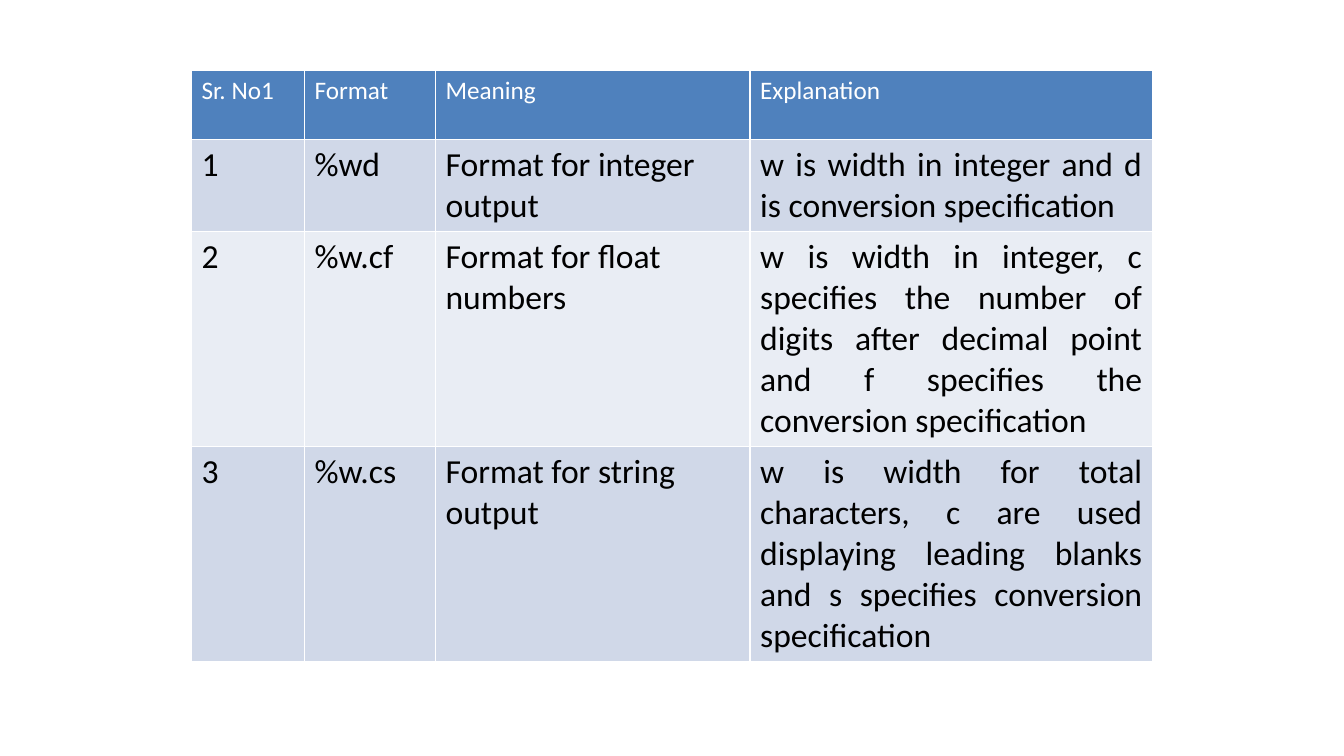
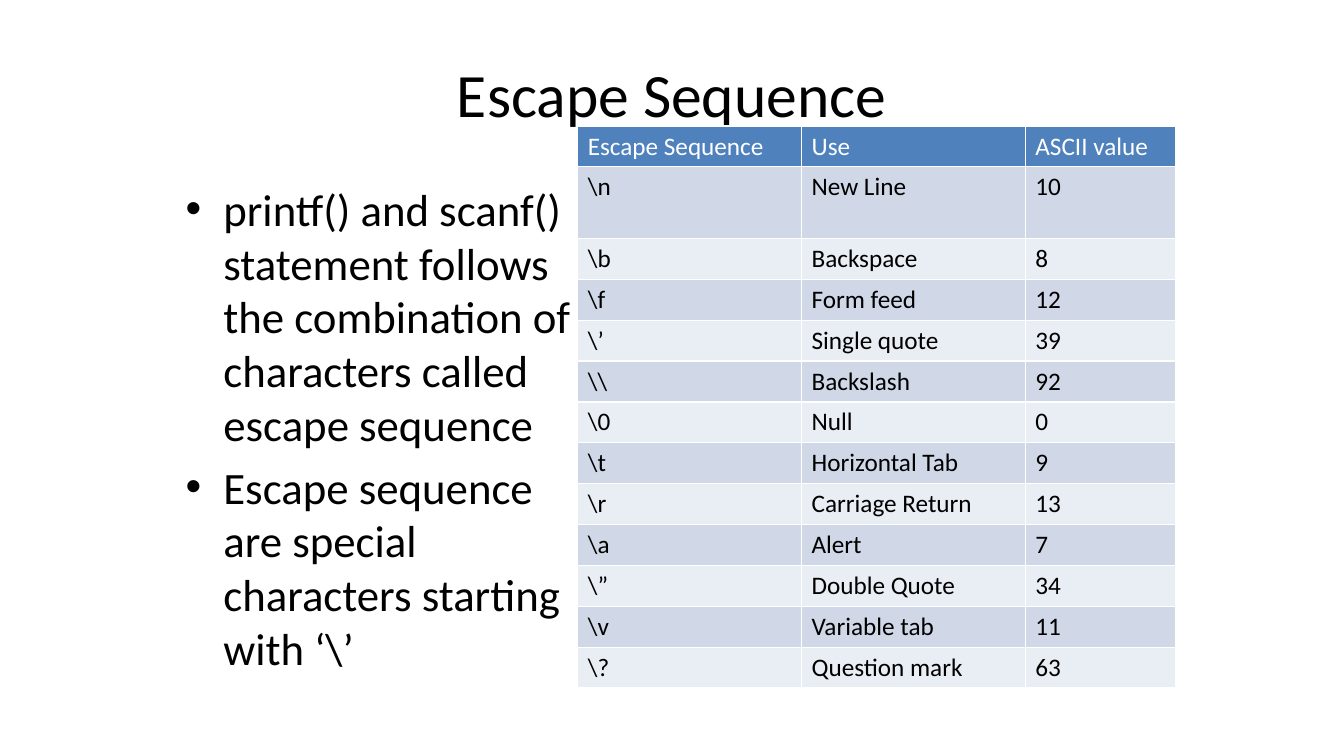
from dataclasses import dataclass

from pptx import Presentation
from pptx import util as u
from pptx.dml.color import RGBColor
from pptx.enum import text

FORMATS = [
    ("Sr. No1", "Format", "Meaning", "Explanation"),
    ("1", "%wd", "Format for integer output",
     "w is width in integer and d is conversion specification"),
    ("2", "%w.cf", "Format for float numbers",
     "w is width in integer, c specifies the number of digits after decimal "
     "point and f specifies the conversion specification"),
    ("3", "%w.cs", "Format for string output",
     "w is width for total characters, c are used displaying leading blanks "
     "and s specifies conversion specification"),
]

TITLE = "Escape Sequence"
POINTS = [
    "printf() and scanf() statement follows the combination of characters "
    "called escape sequence",
    "Escape sequence are special characters starting with ‘\\’",
]
ESCAPES = [
    ("Escape Sequence", "Use", "ASCII value"),
    (r"\n", "New Line", "10"),
    (r"\b", "Backspace", "8"),
    (r"\f", "Form feed", "12"),
    (r"\’", "Single quote", "39"),
    (r"\\", "Backslash", "92"),
    (r"\0", "Null", "0"),
    (r"\t", "Horizontal Tab", "9"),
    (r"\r", "Carriage Return", "13"),
    (r"\a", "Alert", "7"),
    (r"\”", "Double Quote", "34"),
    (r"\v", "Variable tab", "11"),
    (r"\?", "Question mark", "63"),
]


@dataclass(frozen=True)
class Theme:
    font: str = "Calibri"
    ink: str = "000000"
    header_ink: str = "FFFFFF"
    header_fill: str = "4F81BD"
    bands: tuple = ("D0D8E8", "E9EDF4")
    title_size: int = 44
    point_size: int = 32
    large_size: int = 24
    table_size: int = 18


THEME = Theme()


def style(para, size, color=THEME.ink):
    formats = {"name": THEME.font, "size": u.Pt(size), "bold": False}
    for name, value in formats.items():
        setattr(para.font, name, value)
    para.font.color.rgb = RGBColor.from_string(color)


def place(shape, left, top, width, height):
    box = {"left": left, "top": top, "width": width, "height": height}
    for name, value in box.items():
        setattr(shape, name, u.Inches(value))


def add_banded_table(page, rows, left, top, widths, heights, size,
                     justified=None):
    """Add a table with a header row; justified is a body column's index."""
    frame = page.shapes.add_table(
        len(rows), len(widths), u.Inches(left), u.Inches(top),
        u.Inches(sum(widths)), u.Inches(sum(heights)))
    table = frame.table
    for column, width in zip(table.columns, widths):
        column.width = u.Inches(width)
    for row, (values, height) in enumerate(zip(rows, heights)):
        table.rows[row].height = u.Inches(height)
        header = row == 0
        fill = THEME.header_fill if header else THEME.bands[(row - 1) % 2]
        for column, value in enumerate(values):
            cell = table.cell(row, column)
            cell.text = value
            cell.fill.solid()
            cell.fill.fore_color.rgb = RGBColor.from_string(fill)
            para = cell.text_frame.paragraphs[0]
            if header:
                style(para, THEME.table_size, THEME.header_ink)
            else:
                style(para, size)
                if column == justified:
                    para.alignment = text.PP_ALIGN.JUSTIFY


def add_formats_page(deck):
    page = deck.slides.add_slide(deck.slide_layouts.get_by_name("Blank"))
    add_banded_table(page, FORMATS, 1.9, 0.7, [1.12, 1.3, 3.12, 3.99],
                     [0.68, 0.9, 2.1, 2.1], THEME.large_size, justified=3)


def add_escapes_page(deck):
    layout = deck.slide_layouts.get_by_name("Title and Content")
    page = deck.slides.add_slide(layout)

    title = page.shapes.title
    margin = 0.05 * 13.33
    place(title, margin, 0.3, 13.33 - 2 * margin, 1.25)
    title.text = TITLE
    title.text_frame.vertical_anchor = text.MSO_ANCHOR.MIDDLE
    title.text_frame.paragraphs[0].alignment = text.PP_ALIGN.CENTER
    style(title.text_frame.paragraphs[0], THEME.title_size)

    body = page.placeholders[1]
    place(body, 1.74, 1.75, 4.03, 4.95)
    body.text_frame.text = "\n".join(POINTS)
    body.text_frame.auto_size = text.MSO_AUTO_SIZE.NONE
    for para in body.text_frame.paragraphs:
        style(para, THEME.point_size)

    heights = [0.4] * len(ESCAPES)
    heights[1] = 0.71
    add_banded_table(page, ESCAPES, 5.73, 1.25, [2.22, 2.22, 1.49], heights,
                     THEME.table_size)


def main():
    deck = Presentation()
    deck.slide_width = u.Inches(13.33)
    deck.slide_height = u.Inches(7.5)
    add_formats_page(deck)
    add_escapes_page(deck)
    deck.save("out.pptx")


if __name__ == "__main__":
    main()
